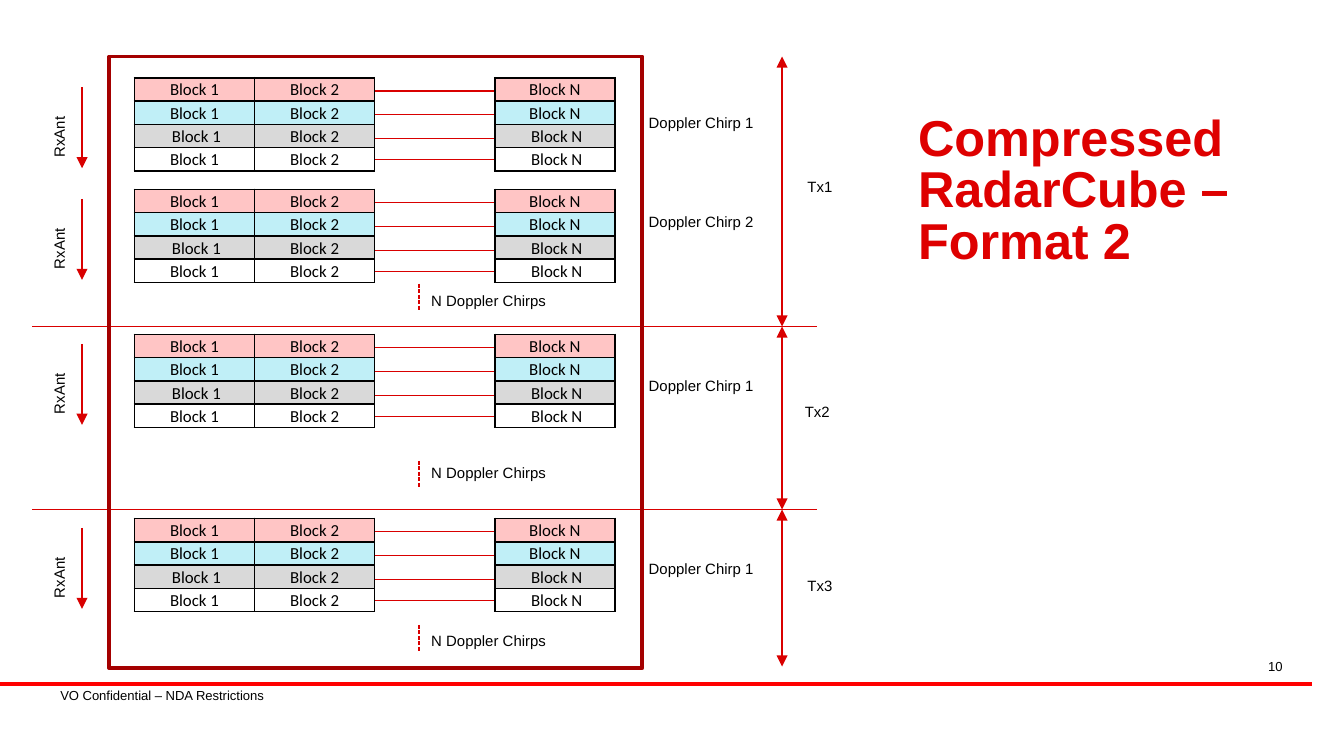
import dataclasses

import lxml.etree
import pptx
import pptx.dml.color
import pptx.enum.dml
import pptx.enum.shapes
import pptx.enum.text
import pptx.oxml.ns
import pptx.util

Cm = pptx.util.Cm
Pt = pptx.util.Pt
Align = pptx.enum.text.PP_ALIGN


@dataclasses.dataclass(frozen=True)
class Theme:
    label_font: str = "Arial"
    block_font: str = "Calibri"
    text: str = "000000"
    title: str = "DE0000"
    line: str = "D90000"
    frame: str = "A40000"
    rule: str = "FF0000"
    antenna_fills: tuple = ("FFC5C5", "C0EFF7", "D9D9D9", "FFFFFF")
    title_size: float = 27
    block_size: float = 9
    label_size: float = 8
    footer_size: float = 7
    thin: float = 0.75
    border: float = 1
    thick: float = 2.25


def rgb(color):
    return pptx.dml.color.RGBColor.from_string(color)


def add_element(parent, tag, **attributes):
    return lxml.etree.SubElement(parent, pptx.oxml.ns.qn(tag), **attributes)


class SlideBuilder:
    """Draws styled elements on one slide; all lengths are centimetres."""

    def __init__(self, slide, theme):
        self.slide = slide
        self.theme = theme

    def style(self, para, size, font=None, color=None, bold=False):
        for span in para.runs:
            span.font.name = font or self.theme.label_font
            span.font.size = Pt(size)
            span.font.bold = bold
            span.font.color.rgb = rgb(color or self.theme.text)

    def title(self, text, left, top, width, height):
        box = self.slide.shapes.title
        box.left, box.top, box.width, box.height = map(Cm, (left, top, width, height))
        frame = box.text_frame
        frame.text = text
        frame.word_wrap = True
        frame.auto_size = pptx.enum.text.MSO_AUTO_SIZE.NONE
        frame.vertical_anchor = pptx.enum.text.MSO_ANCHOR.MIDDLE
        frame.margin_left = frame.margin_right = Cm(0.2)
        frame.margin_top = frame.margin_bottom = Cm(0.1)
        para = frame.paragraphs[0]
        para.alignment = Align.LEFT
        para.line_spacing = 0.85
        self.style(para, self.theme.title_size, color=self.theme.title, bold=True)

    def label(self, text, left, top, width, height=0.61, size=None,
              align=Align.LEFT, margins=(0.25, 0.13), rotation=0):
        box = self.slide.shapes.add_textbox(Cm(left), Cm(top), Cm(width), Cm(height))
        box.rotation = rotation
        frame = box.text_frame
        frame.word_wrap = True
        frame.margin_left = frame.margin_right = Cm(margins[0])
        frame.margin_top = frame.margin_bottom = Cm(margins[1])
        frame.text = text
        para = frame.paragraphs[0]
        para.alignment = align
        self.style(para, size or self.theme.label_size)

    def line(self, start, end, color=None, width=None, dashed=False, arrows=()):
        """Draw a straight line; arrows lists the ends ("head", "tail") that get a triangle."""
        connector = self.slide.shapes.add_connector(
            pptx.enum.shapes.MSO_CONNECTOR.STRAIGHT, *map(Cm, (*start, *end)))
        connector.line.color.rgb = rgb(color or self.theme.line)
        connector.line.width = Pt(width or self.theme.thin)
        if dashed:
            connector.line.dash_style = pptx.enum.dml.MSO_LINE.SQUARE_DOT
        properties = connector.element.spPr
        outline = properties.find(pptx.oxml.ns.qn("a:ln"))
        for end_name in arrows:
            add_element(outline, f"a:{end_name}End", type="triangle")
        add_element(properties, "a:effectLst")

    def frame(self, left, top, width, height):
        shape = self.slide.shapes.add_shape(
            pptx.enum.shapes.MSO_SHAPE.RECTANGLE, *map(Cm, (left, top, width, height)))
        shape.shadow.inherit = False
        shape.fill.background()
        shape.line.color.rgb = rgb(self.theme.frame)
        shape.line.width = Pt(2)

    def block_table(self, texts, left, top, width, row_height):
        """Draw a one-column table with one coloured row per receive antenna."""
        table = self.slide.shapes.add_table(
            len(texts), 1, Cm(left), Cm(top), Cm(width), Cm(row_height * len(texts))).table
        table.first_row = table.horz_banding = False
        for row, text, fill in zip(table.rows, texts, self.theme.antenna_fills):
            row.height = Cm(row_height)
            cell = row.cells[0]
            cell.text = text
            cell.margin_left = cell.margin_right = Cm(0.18)
            cell.margin_top = cell.margin_bottom = 0
            cell.vertical_anchor = pptx.enum.text.MSO_ANCHOR.MIDDLE
            self.border(cell)
            cell.fill.solid()
            cell.fill.fore_color.rgb = rgb(fill)
            para = cell.text_frame.paragraphs[0]
            para.alignment = Align.CENTER
            para.line_spacing = 1.07
            self.style(para, self.theme.block_size, self.theme.block_font)

    def border(self, cell):
        properties = cell._tc.get_or_add_tcPr()
        for side in "LRTB":
            edge = add_element(properties, f"a:ln{side}", w=str(Pt(self.theme.border)))
            add_element(add_element(edge, "a:solidFill"), "a:srgbClr", val=self.theme.text)


BLOCK_WIDTH = 2.27
ROW_HEIGHT = 0.44
FIRST_BLOCK_LEFT = 2.54
LAST_BLOCK_LEFT = 9.35
LINK_OFFSETS = (0.25, 0.7, 1.15, 1.55)
BLOCK_1 = ("Block 1", "Block 1", " Block 1", "Block 1")
BLOCK_2 = ("Block 2",) * 4
BLOCK_N = ("Block N", "Block N", " Block N", " Block N")

# Top of each chirp, its label and the top of that label
CHIRPS = (
    (1.47, "Doppler Chirp 1", 2.01),
    (3.58, "Doppler Chirp 2", 3.89),
    (6.32, "Doppler Chirp 1", 6.98),
    (9.8, "Doppler Chirp 1", 10.44),
)
# Each transmitter's label with its left and top, then the tops of its dashes and dash label
TRANSMITTERS = (
    ("Tx1", 15.01, 3.23, 5.36, 5.38),
    ("Tx2", 14.96, 7.49, 8.71, 8.64),
    ("Tx3", 15.01, 10.77, 11.81, 11.81),
)
TRANSMITTER_EDGES = (1.07, 6.17, 9.63, 12.6)


def draw_chirp(builder, top, text, label_top):
    second_left = FIRST_BLOCK_LEFT + BLOCK_WIDTH
    link_left = second_left + BLOCK_WIDTH
    builder.block_table(BLOCK_1, FIRST_BLOCK_LEFT, top, BLOCK_WIDTH, ROW_HEIGHT)
    builder.block_table(BLOCK_2, second_left, top, BLOCK_WIDTH, ROW_HEIGHT)
    for offset in LINK_OFFSETS:
        builder.line((link_left, top + offset), (LAST_BLOCK_LEFT, top + offset))
    builder.block_table(BLOCK_N, LAST_BLOCK_LEFT, top, BLOCK_WIDTH, ROW_HEIGHT)
    builder.label(text, 12.01, label_top, 2.54)
    builder.line((1.55, top + 0.18), (1.55, top + 1.71), arrows=("tail",))
    builder.label("RxAnt", 0, top + 0.33, 2.24, rotation=270)


def main():
    deck = pptx.Presentation()
    deck.slide_width, deck.slide_height = Cm(25.4), Cm(14.29)
    theme = Theme()
    builder = SlideBuilder(deck.slides.add_slide(deck.slide_layouts[5]), theme)

    builder.title("Compressed RadarCube – Format 2", 17.15, 1.88, 7.47, 3.51)
    builder.line((0, 12.93), (24.79, 12.93), color=theme.rule, width=theme.thick)
    builder.label("VO Confidential – NDA Restrictions", 0.94, 12.9, 5.87, 0.51,
                  size=theme.footer_size, margins=(0.2, 0.1))
    builder.label("10", 18.52, 12.34, 5.92, 0.43, size=theme.footer_size,
                  align=Align.RIGHT, margins=(0.2, 0.1))

    for chirp in CHIRPS:
        draw_chirp(builder, *chirp)
    for edge in TRANSMITTER_EDGES[1:-1]:
        builder.line((0.61, edge), (15.44, edge))
    spans = zip(TRANSMITTER_EDGES, TRANSMITTER_EDGES[1:])
    for (start, end), (name, left, top, dash_top, more_top) in zip(spans, TRANSMITTERS):
        builder.line((14.78, start), (14.78, end), arrows=("head", "tail"))
        builder.label(name, left, top, 1.09)
        builder.line((7.92, dash_top), (7.92, dash_top + 0.51), dashed=True)
        builder.label("N Doppler Chirps", 7.9, more_top, 2.72)
    builder.frame(2.06, 1.07, 10.08, 11.56)

    deck.save("out.pptx")


if __name__ == "__main__":
    main()
